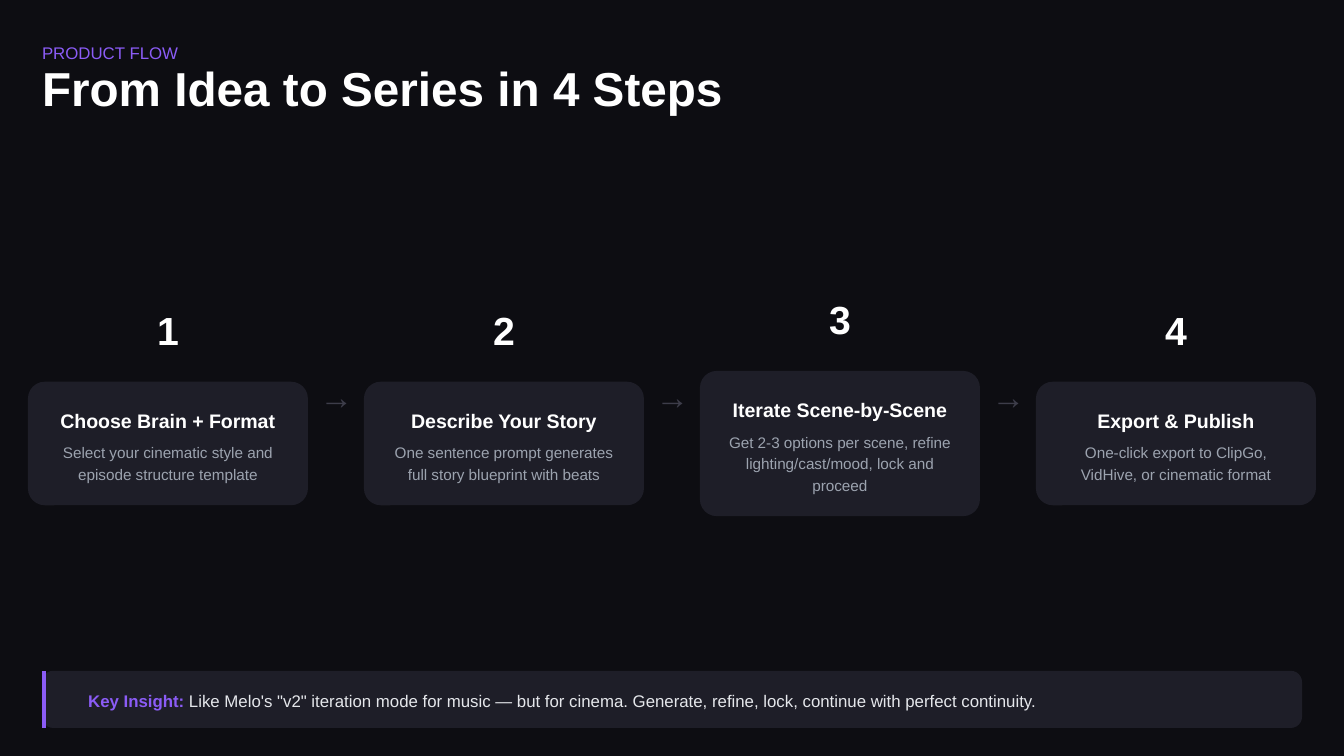
from lxml import etree
from pptx import Presentation
from pptx.dml.color import RGBColor
from pptx.enum import shapes, text
from pptx.oxml import ns
from pptx.util import Pt

NIGHT = RGBColor(0x0D, 0x0D, 0x12)
PANEL = RGBColor(0x1E, 0x1E, 0x28)
VIOLET = RGBColor(0x8B, 0x5C, 0xF6)
WHITE = RGBColor(0xFF, 0xFF, 0xFF)
GREY = RGBColor(0x9C, 0xA3, 0xAF)
DIM = RGBColor(0x3D, 0x3D, 0x4A)
PALE = RGBColor(0xE5, 0xE7, 0xEB)

LEFT, ALIGN_CENTER = text.PP_ALIGN.LEFT, text.PP_ALIGN.CENTER

deck = Presentation()
deck.slide_width, deck.slide_height = Pt(720), Pt(405)
page = deck.slides.add_slide(deck.slide_layouts[6])
page.background.fill.solid()
page.background.fill.fore_color.rgb = NIGHT


def add_text(left, top, width, height, size, spacing, runs, align=LEFT, wrap=True):
    """Add a one-paragraph box; runs holds (words, colour, bold) tuples."""
    box = page.shapes.add_textbox(Pt(left), Pt(top), Pt(width), Pt(height))
    frame = box.text_frame
    frame.margin_left = frame.margin_right = frame.margin_top = frame.margin_bottom = 0
    frame.word_wrap = wrap
    para = frame.paragraphs[0]
    para.alignment = align
    para.line_spacing = Pt(spacing)
    for words, colour, bold in runs:
        span = para.add_run()
        span.text = words
        span.font.name = "Arial"
        span.font.size = Pt(size)
        span.font.bold = bold
        span.font.color.rgb = colour


def add_panel(left, top, width, height, radius):
    panel = page.shapes.add_shape(shapes.MSO_SHAPE.ROUNDED_RECTANGLE,
                                  Pt(left), Pt(top), Pt(width), Pt(height))
    panel.adjustments[0] = radius / height
    panel.shadow.inherit = False
    panel.fill.solid()
    panel.fill.fore_color.rgb = PANEL
    panel.line.fill.background()


# Heading
add_text(22.5, 21, 688, 12.6, 9, 12.6, [("PRODUCT FLOW", VIOLET, False)])
add_text(22.5, 36.6, 372, 25.5, 25.5, 25.5,
         [("From Idea to Series in 4 Steps", WHITE, True)], wrap=False)

# Step cards, all centred on one line; height follows the number of text lines
CARD_WIDTH, CARD_PITCH, CARD_MIDDLE, LINE = 150, 180, 237.6, 11.6
steps = [
    ("Choose Brain + Format",
     "Select your cinematic style and episode structure template", 2),
    ("Describe Your Story",
     "One sentence prompt generates full story blueprint with beats", 2),
    ("Iterate Scene-by-Scene",
     "Get 2-3 options per scene, refine lighting/cast/mood, lock and proceed", 3),
    ("Export & Publish",
     "One-click export to ClipGo, VidHive, or cinematic format", 2),
]
for index, (title, detail, lines) in enumerate(steps):
    left = 15 + index * CARD_PITCH
    height = 43 + lines * LINE
    top = CARD_MIDDLE - height / 2
    add_text(left + 69, top - 44.6, 12, 29.4, 21, 29.4,
             [(str(index + 1), WHITE, True)], ALIGN_CENTER, wrap=False)
    add_panel(left, top, CARD_WIDTH, height, 9)
    add_text(left + 11, top + 12.2, 128, 14.7, 10.5, 14.7,
             [(title, WHITE, True)], ALIGN_CENTER)
    add_text(left + 11, top + 31.4, 128, lines * LINE, 8.2, LINE,
             [(detail, GREY, False)], ALIGN_CENTER)
    if index < len(steps) - 1:
        add_text(left + 156.3, 198, 18.7, 25.2, 18, 25.2,
                 [("→", DIM, False)], wrap=False)

# Key insight bar
BAR_TOP, BAR_HEIGHT = 359.4, 30.6
add_panel(22.5, BAR_TOP, 675, BAR_HEIGHT, 6)
accent = page.shapes.add_connector(shapes.MSO_CONNECTOR.STRAIGHT, Pt(23.6), Pt(BAR_TOP),
                                   Pt(23.6), Pt(BAR_TOP + BAR_HEIGHT))
accent.line.color.rgb = VIOLET
accent.line.width = Pt(2.25)
etree.SubElement(accent._element.spPr, ns.qn("a:effectLst"))
add_text(47.25, 368.4, 640, 12.6, 9, 12.6, [
    ("Key Insight:", VIOLET, True),
    (" Like Melo's \"v2\" iteration mode for music — but for cinema. "
     "Generate, refine, lock, continue with perfect continuity.", PALE, False),
])

deck.save("out.pptx")
